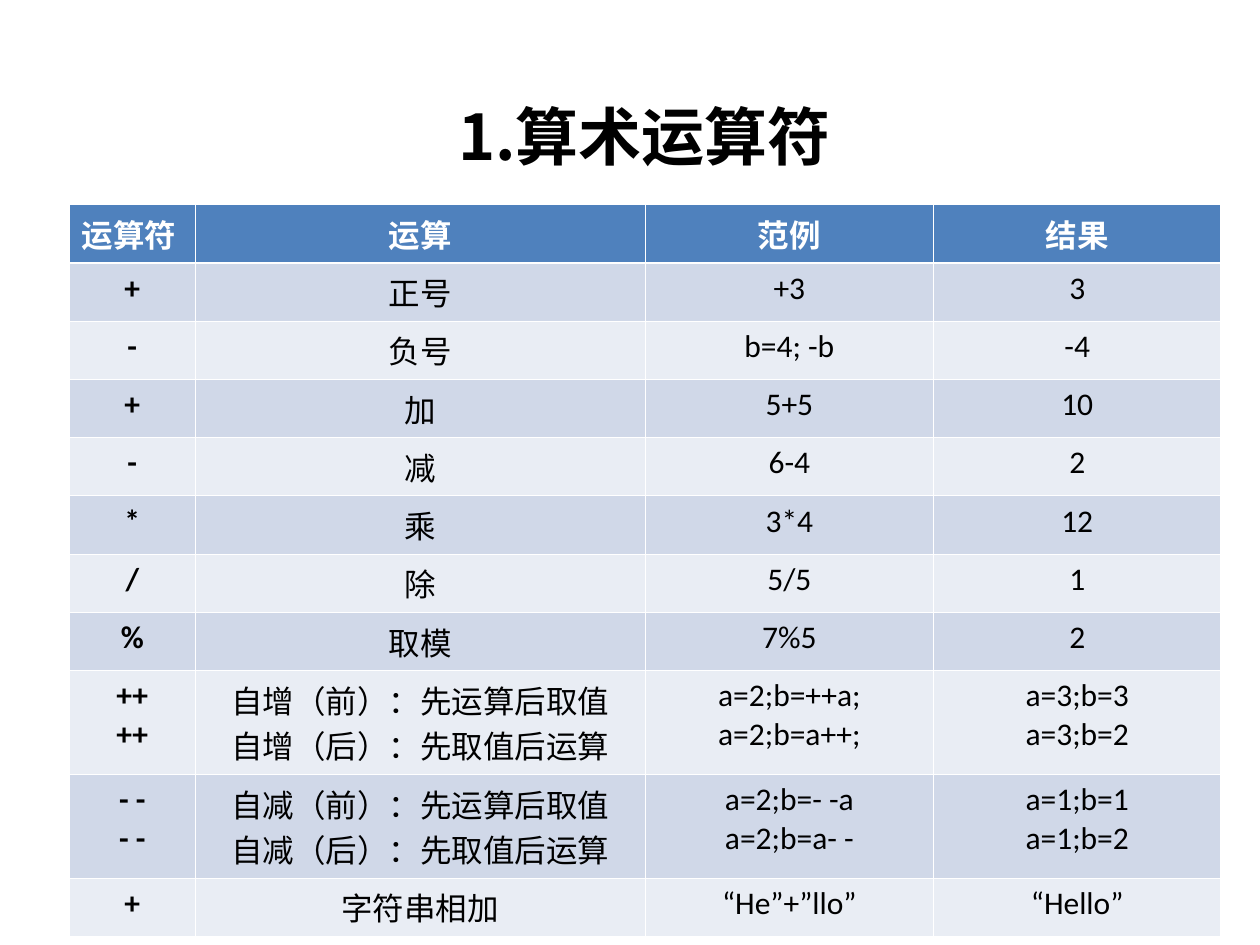
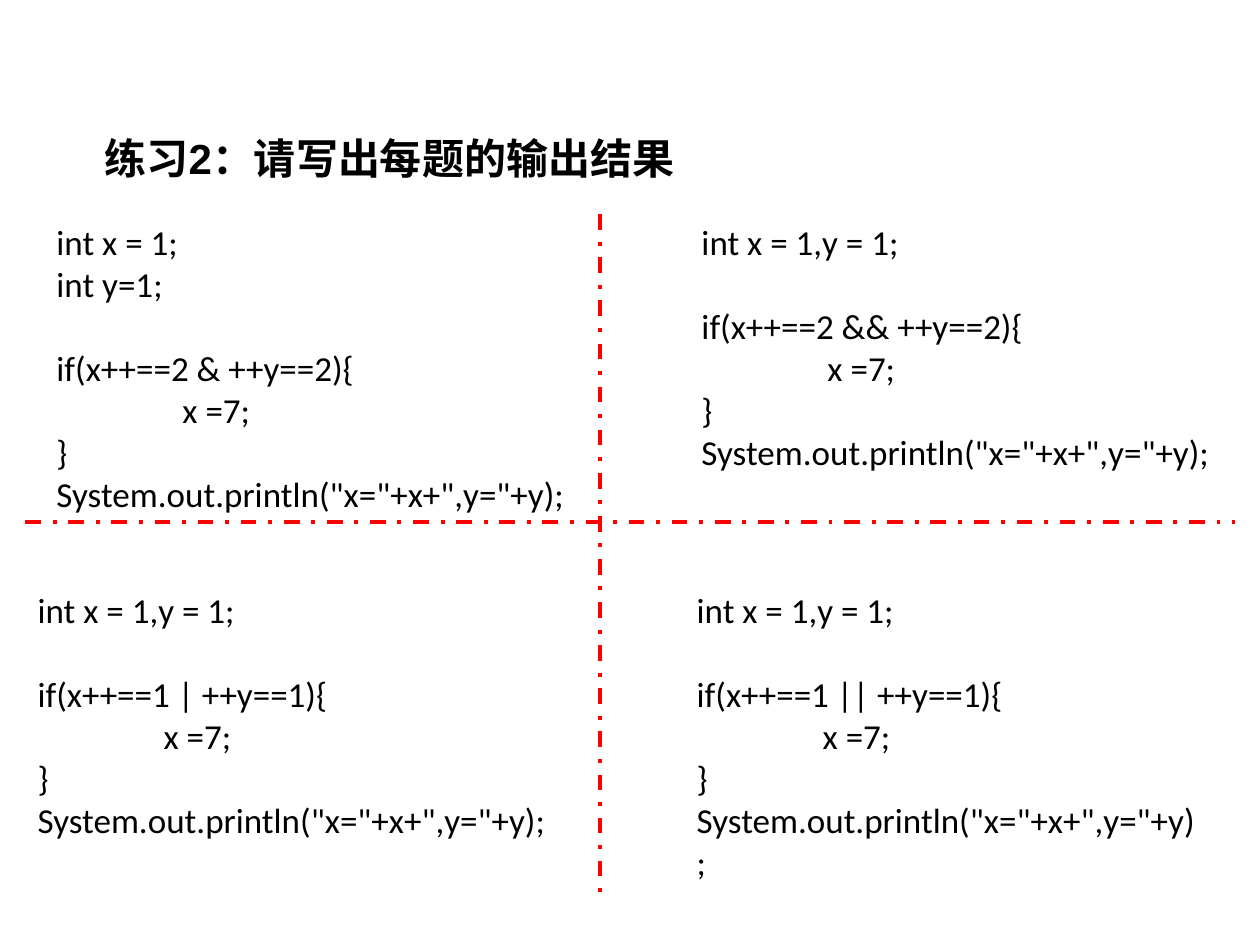
from lxml.etree import SubElement
from pptx import Presentation
from pptx.dml.color import RGBColor
from pptx.enum.dml import MSO_LINE_DASH_STYLE as Dash
from pptx.enum.shapes import MSO_CONNECTOR as Connector
from pptx.enum.text import MSO_ANCHOR as Anchor, MSO_AUTO_SIZE as AutoSize, PP_ALIGN as Align
from pptx.oxml.ns import qn
from pptx.util import Pt

BLACK, WHITE, RED = "000000", "FFFFFF", "FF0000"
HEADER_BLUE, BANDS = "4F81BD", ("E9EDF4", "D0D8E8")


def color(value):
    return RGBColor.from_string(value)


def write(frame, lines, size, font, ink=BLACK, bold=False, align=Align.LEFT, tab=None):
    """Write one paragraph per line; an empty line becomes space before the next."""
    frame.word_wrap = True
    gap, first = 0, True
    for line in lines:
        if not line:
            gap = size * 1.2
            continue
        para = frame.paragraphs[0] if first else frame.add_paragraph()
        para.text = line
        para.alignment = align
        para.space_before = Pt(gap)
        if tab:
            stops = SubElement(para._p.get_or_add_pPr(), qn("a:tabLst"))
            SubElement(stops, qn("a:tab"), pos=str(Pt(tab)), algn="l")
        para.font.size, para.font.name, para.font.bold = Pt(size), font, bold
        para.font.color.rgb = color(ink)
        gap, first = 0, False


deck = Presentation()
deck.slide_width, deck.slide_height = Pt(720), Pt(540)

# Slides and their titles: text, place, size, font, alignment, anchor
titles = [
    ("1.算术运算符", (218.2, 43.2, 300.2, 67.7), 36, "Noto Sans CJK SC", Align.CENTER, Anchor.MIDDLE),
    ("练习2：请写出每题的输出结果", (52.6, 72, 402.5, 36), 24, "Arial", Align.LEFT, Anchor.TOP),
]
pages = []
for text, place, size, font, align, anchor in titles:
    page = deck.slides.add_slide(deck.slide_layouts[5])
    title = page.shapes.title
    title.left, title.top, title.width, title.height = map(Pt, place)
    title.text_frame.auto_size = AutoSize.NONE
    title.text_frame.vertical_anchor = anchor
    write(title.text_frame, [text], size, font, bold=True, align=align)
    pages.append(page)
operator_page, exercise_page = pages

# Slide 1: table of arithmetic operators
operators = [
    ("运算符", "运算", "范例", "结果"),
    ("+", "正号", "+3", "3"),
    ("-", "负号", "b=4; -b", "-4"),
    ("+", "加", "5+5", "10"),
    ("-", "减", "6-4", "2"),
    ("*", "乘", "3*4", "12"),
    ("/", "除", "5/5", "1"),
    ("%", "取模", "7%5", "2"),
    ("++\n++", "自增（前）：先运算后取值\n自增（后）：先取值后运算",
     "a=2;b=++a;\na=2;b=a++;", "a=3;b=3\na=3;b=2"),
    ("- -\n- -", "自减（前）：先运算后取值\n自减（后）：先取值后运算",
     "a=2;b=- -a\na=2;b=a- -", "a=1;b=1\na=1;b=2"),
    ("+", "字符串相加", "“He”+”llo”", "“Hello”"),
]
widths = (72, 257, 165, 164)
table = operator_page.shapes.add_table(
    len(operators), len(widths), Pt(39.6), Pt(116.9), Pt(sum(widths)), Pt(384)).table
table.horz_banding = False
for column, width in zip(table.columns, widths):
    column.width = Pt(width)

for row, values in enumerate(operators):
    header = row == 0
    table.rows[row].height = Pt(50.4 if "\n" in values[0] else 31.7)
    for col, value in enumerate(values):
        cell = table.cell(row, col)
        # Thin white borders, thicker under the header
        for side in ("L", "R", "T", "B"):
            thick = (row, side) in ((0, "B"), (1, "T"))
            border = SubElement(cell._tc.get_or_add_tcPr(), qn("a:ln" + side),
                                w=str(Pt(1.47 if thick else 0.45)))
            SubElement(SubElement(border, qn("a:solidFill")), qn("a:srgbClr"), val=WHITE)
        cell.fill.solid()
        cell.fill.fore_color.rgb = color(HEADER_BLUE if header else BANDS[row % 2])
        write(cell.text_frame, value.split("\n"), 18,
              "Times New Roman" if header else "Calibri",
              ink=WHITE if header else BLACK,
              bold=header or col == 0,
              align=Align.LEFT if header and col == 0 else Align.CENTER)

# Slide 2: four code exercises
one_line = ["int x = 1,y = 1;"]
two_lines = ["int x = 1;", "int y=1;"]
exercises = [
    (two_lines, "x++==2 & ++y==2", (25.2, 122.4, 306.7, 175.7)),
    (one_line, "x++==2 && ++y==2", (393.8, 122.4, 311.8, 151.2)),
    (one_line, "x++==1 | ++y==1", (14.4, 332.6, 318.2, 151.2)),
    (one_line, "x++==1 || ++y==1", (391, 332.6, 303.1, 175.7)),
]
for declarations, condition, place in exercises:
    box = exercise_page.shapes.add_textbox(*map(Pt, place))
    code = declarations + ["", f"if({condition}){{", "\tx =7;", "}",
                           'System.out.println("x="+x+",y="+y);']
    write(box.text_frame, code, 20, "Calibri", tab=72)
    box.text_frame.auto_size = AutoSize.SHAPE_TO_FIT_TEXT

# Slide 2: dividers between the exercises
for ends in ((14.4, 298.1, 705.6, 298.1), (342.7, 122.4, 342.7, 514.1)):
    divider = exercise_page.shapes.add_connector(Connector.STRAIGHT, *map(Pt, ends))
    divider.line.color.rgb = color(RED)
    divider.line.width = Pt(2.25)
    divider.line.dash_style = Dash.DASH_DOT
    SubElement(divider._element.spPr, qn("a:effectLst"))

deck.save("out.pptx")
